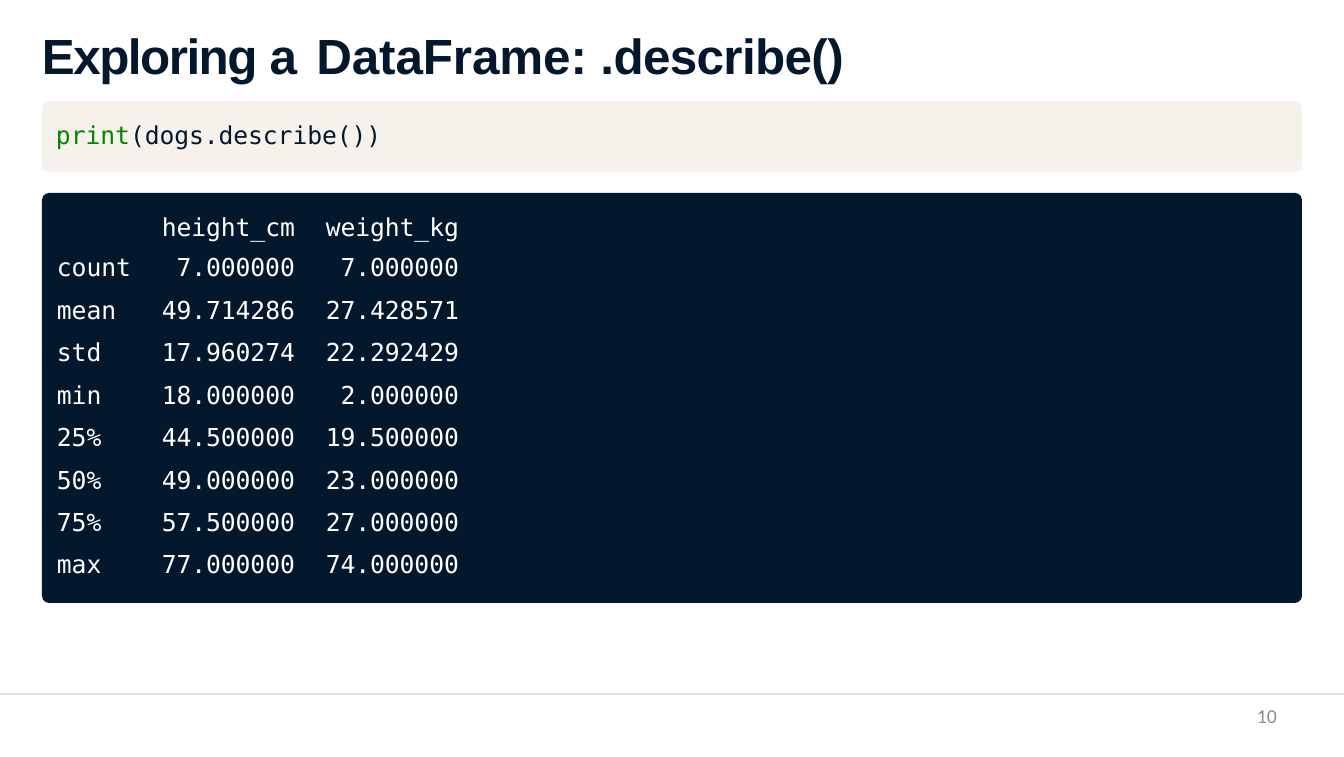
"""Build the slide that explains the describe method of a DataFrame."""
from dataclasses import dataclass

from lxml.etree import SubElement
from pptx import Presentation
from pptx.dml.color import RGBColor
from pptx.enum.shapes import MSO_CONNECTOR as Link, MSO_SHAPE as Shape
from pptx.enum.text import MSO_ANCHOR as Anchor, MSO_AUTO_SIZE as Fit, PP_ALIGN as Align
from pptx.oxml.ns import qn
from pptx.util import Emu, Pt

SCALE = 914400 / 79
WIDE, HIGH = 1344, 757
NAVY, CREAM, WHITE, GREEN = "04182D", "F6F2EB", "FFFFFF", "008600"
MONO = "DejaVu Sans Mono"
PLAIN = "{2D5ABB26-0587-4C30-8999-92F81FD0307C}"
COLS = (92, 163, 152)
PADS = (0, 14, 2)
STATS = (
    ("", "height_cm", "weight_kg"),
    ("count", "7.000000", "7.000000"),
    ("mean", "49.714286", "27.428571"),
    ("std", "17.960274", "22.292429"),
    ("min", "18.000000", "2.000000"),
    ("25%", "44.500000", "19.500000"),
    ("50%", "49.000000", "23.000000"),
    ("75%", "57.500000", "27.000000"),
    ("max", "77.000000", "74.000000"),
)


@dataclass(frozen=True)
class Font:
    name: str
    size: float
    bold: bool = False


@dataclass(frozen=True)
class Span:
    text: str
    hue: str
    gap: float = 0


@dataclass(frozen=True)
class Panel:
    top: int
    high: int
    hue: str


CODE = Font(MONO, 22.5)
HEAD = Font("Arial", 45, True)
FOOT = Font("Calibri", 18)
TITLE = (
    Span("Exploring ", NAVY, -1.4),
    Span("a ", NAVY, 2.5),
    Span("DataFrame: ", NAVY, -0.1),
    Span(".describe()", NAVY, -0.6),
)
CALL = (Span("print", GREEN, -0.1), Span("(dogs.describe())", NAVY, -0.1))
PAGE = (Span("10", "8C8C8C"),)
PANELS = (Panel(101, 71, CREAM), Panel(193, 410, NAVY))


def px(num: float) -> Emu:
    return Emu(round(num * SCALE))


def tint(hue: str) -> RGBColor:
    return RGBColor.from_string(hue)


def style(run, font: Font, hue: str, gap: float) -> None:
    run.font.name = font.name
    run.font.size = Pt(font.size)
    run.font.bold = font.bold
    run.font.color.rgb = tint(hue)
    run._r.get_or_add_rPr().set("spc", str(round(gap * 100)))


def write(shape, spans: tuple[Span, ...], font: Font, align=Align.LEFT, above: float = 0) -> None:
    frame = shape.text_frame
    frame.word_wrap = True
    frame.auto_size = Fit.NONE
    frame.vertical_anchor = Anchor.TOP
    frame.margin_left = frame.margin_right = frame.margin_bottom = 0
    frame.margin_top = px(1) if above else 0
    para = frame.paragraphs[0]
    para.alignment = align
    para.space_before = Pt(above)
    for span in spans:
        run = para.add_run()
        run.text = span.text
        style(run, font, span.hue, span.gap)


def draw(slide, panel: Panel) -> None:
    box = slide.shapes.add_shape(Shape.ROUNDED_RECTANGLE, px(42), px(panel.top), px(1260), px(panel.high))
    box.adjustments[0] = 7 / panel.high
    box.shadow.inherit = False
    box.fill.solid()
    box.fill.fore_color.rgb = tint(panel.hue)
    box.line.fill.background()


def rule(slide) -> None:
    line = slide.shapes.add_connector(Link.STRAIGHT, 0, px(694), px(WIDE), px(694))
    line.line.color.rgb = tint("E4E1D9")
    line.line.width = Pt(1.5)
    SubElement(line._element.spPr, qn("a:effectLst"))


def fill(cell, text: str, row: int, col: int) -> None:
    cell.fill.background()
    cell.margin_left = cell.margin_bottom = 0
    cell.margin_right = px(PADS[col])
    cell.margin_top = px(5) if row else 0
    if col == 0:
        cell.margin_left = px(3)
    if not text:
        return
    cell.text_frame.text = text
    para = cell.text_frame.paragraphs[0]
    para.alignment = Align.RIGHT if col else Align.LEFT
    if row:
        para.space_before = Pt(4.8)
    else:
        para.line_spacing = Pt(26.4)
    style(para.runs[0], CODE, WHITE, -0.1)


def grid(slide) -> None:
    frame = slide.shapes.add_table(len(STATS), len(COLS), px(54), px(213), px(sum(COLS)), px(369))
    table = frame.table
    table.first_row = table.horz_banding = False
    table._tbl.tblPr.find(qn("a:tableStyleId")).text = PLAIN
    for col, wide in zip(table.columns, COLS):
        col.width = px(wide)
    last = len(STATS) - 1
    for row, texts in enumerate(STATS):
        table.rows[row].height = px(36) if row in (0, last) else px(297 / 7)
        for col, text in enumerate(texts):
            fill(table.cell(row, col), text, row, col)


def main() -> None:
    deck = Presentation()
    deck.slide_width, deck.slide_height = px(WIDE), px(HIGH)
    slide = deck.slides.add_slide(deck.slide_layouts[5])
    rule(slide)
    title = slide.shapes.title
    title.left, title.top, title.width, title.height = px(42), px(24), px(1142), px(62)
    write(title, TITLE, HEAD, above=1.1)
    for panel in PANELS:
        draw(slide, panel)
    call = slide.shapes.add_textbox(px(56), px(119), px(329), px(32))
    write(call, CALL, CODE, above=1.1)
    grid(slide)
    page = slide.shapes.add_textbox(px(968), px(704), px(309), px(38))
    write(page, PAGE, FOOT, Align.RIGHT)
    deck.save("out.pptx")


if __name__ == "__main__":
    main()
